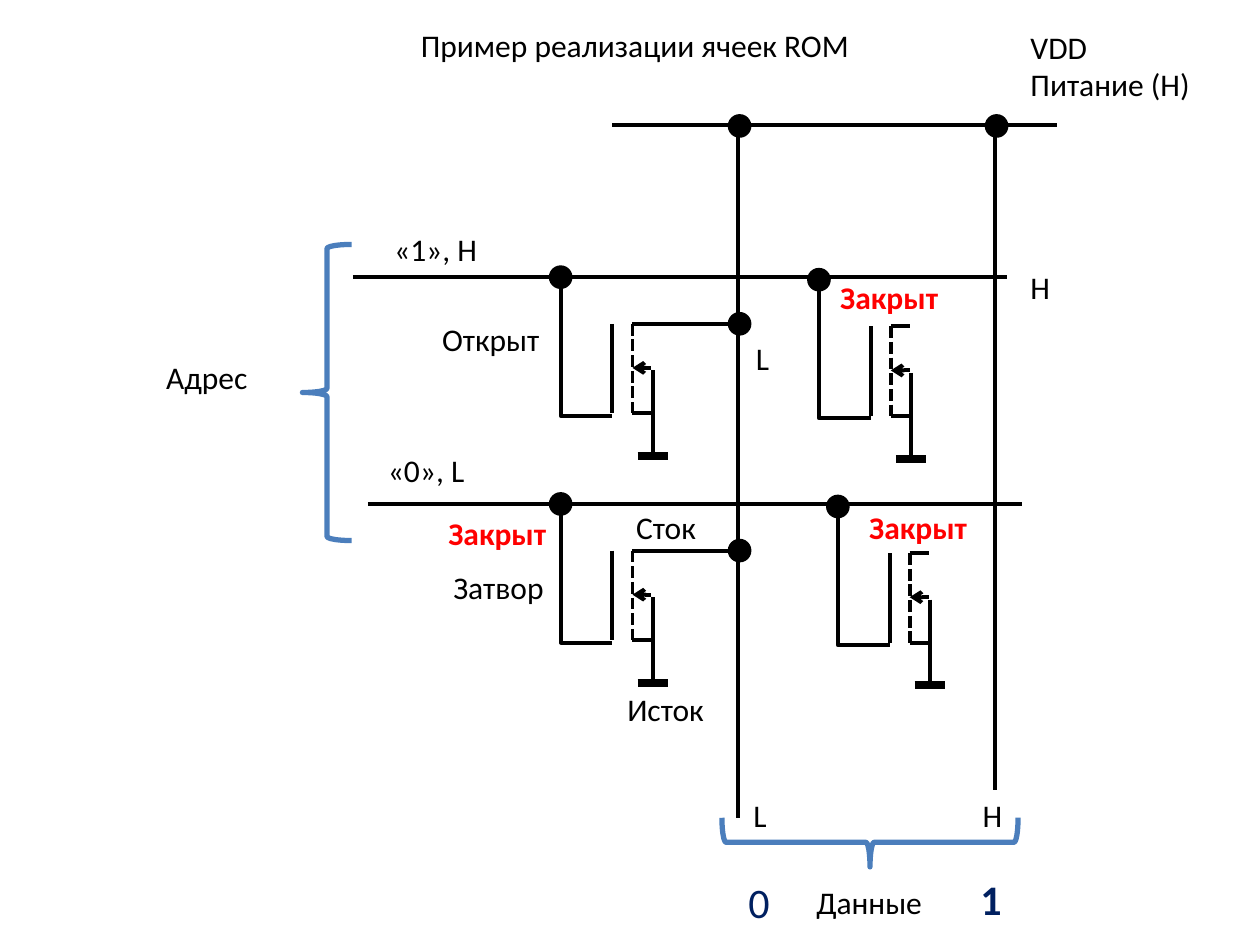
from lxml import etree
from pptx import Presentation
from pptx import util as u
from pptx.dml.color import RGBColor
from pptx.enum import dml, shapes, text
from pptx.oxml.ns import qn

PX = 9144  # EMU per px, 100 px to the inch
FONT = "Calibri"
COLORS = {"ink": "000000", "brace": "4B7EBC", "closed": "FF0000", "digit": "002060"}
DOT = 16
BIT_X = (586, 790)
POWER_Y = 99

# Gate node of each transistor
WIRED_CELLS = [(445, 220), (445, 400)]
LOOSE_CELLS = [(650, 222), (665, 402)]

LABELS = [  # left, top, width, lines
    (808, 17, 148, ["VDD", "Питание (Н)"]),
    (122, 279, 85, ["Адрес"]),
    (638, 696, 105, ["Данные"]),
    (303, 178, 87, ["«1», H"]),
    (298, 353, 82, ["«0», L"]),
    (590, 264, 31, ["L"]),
    (341, 249, 98, ["Открыт"]),
    (808, 208, 36, ["H"]),
    (770, 627, 36, ["H"]),
    (588, 627, 31, ["L"]),
    (350, 446, 93, ["Затвор"]),
    (488, 543, 82, ["Исток"]),
    (495, 398, 68, ["Сток"]),
]
CLOSED_MARKS = [(657, 216), (346, 403), (680, 398)]


def px(*lengths):
    return [u.Emu(n * PX) for n in lengths]


def rgb(name):
    return RGBColor.from_string(COLORS[name])


def line(shs, x1, y1, x2, y2, width=2.25, dashed=False, arrow=False,
         kind=shapes.MSO_CONNECTOR.STRAIGHT):
    c = shs.add_connector(kind, *px(x1, y1, x2, y2))
    c.line.color.rgb = rgb("ink")
    c.line.width = u.Pt(width)
    if dashed:
        c.line.dash_style = dml.MSO_LINE.SQUARE_DOT
    if arrow:
        etree.SubElement(c.line._get_or_add_ln(), qn("a:tailEnd"), type="arrow")
    etree.SubElement(c._element.spPr, qn("a:effectLst"))
    return c


def corner(shs, x1, y1, x2, y2):
    """Wire that runs vertically first, then horizontally."""
    c = line(shs, x1, y1, x2, y2, kind=shapes.MSO_CONNECTOR.ELBOW)
    av = c._element.spPr.find(qn("a:prstGeom")).get_or_add_avLst()
    etree.SubElement(av, qn("a:gd"), name="adj1", fmla="val 0")


def dot(shs, x, y):
    sp = shs.add_shape(shapes.MSO_SHAPE.OVAL, *px(x - DOT // 2, y - DOT // 2, DOT, DOT))
    sp.shadow.inherit = False
    sp.fill.solid()
    sp.fill.fore_color.rgb = rgb("ink")
    sp.line.color.rgb = rgb("ink")
    sp.line.width = u.Pt(2)


def brace(shs, x, y, rotation=0):
    sp = shs.add_shape(shapes.MSO_SHAPE.LEFT_BRACE, *px(x, y, 39, 235))
    sp.rotation = rotation
    sp.shadow.inherit = False
    sp.fill.background()
    sp.line.color.rgb = rgb("brace")
    sp.line.width = u.Pt(3)


def write(sp, lines, color="ink", size=18, bold=False, wrap=False):
    tf = sp.text_frame
    tf.word_wrap = wrap
    tf.auto_size = text.MSO_AUTO_SIZE.SHAPE_TO_FIT_TEXT
    tf.vertical_anchor = text.MSO_ANCHOR.TOP
    for i, words in enumerate(lines):
        p = tf.add_paragraph() if i else tf.paragraphs[0]
        p.alignment = text.PP_ALIGN.LEFT
        r = p.add_run()
        r.text = words
        r.font.name = FONT
        r.font.size = u.Pt(size)
        r.font.bold = bold
        r.font.color.rgb = rgb(color)


def label(shs, x, y, w, lines, **style):
    sp = shs.add_textbox(*px(x, y, w, 40 if len(lines) == 1 else 71))
    write(sp, lines, **style)


def digit(shs, x, y, value, bold):
    sp = shs.add_textbox(*px(x, y, 5, 50))
    sp.text_frame.margin_left = sp.text_frame.margin_right = 0
    write(sp, [value], color="digit", size=24, bold=bold, wrap=True)


def title(s, words):
    sp = s.shapes.title
    sp.left, sp.top, sp.width, sp.height = px(324, 16, 364, 40)
    write(sp, [words])


def transistor(shs, x, y):
    """Transistor with a grounded source, hung from the gate node at x, y."""
    body, stub, top, bottom = x + 57, x + 72, y + 37, y + 108
    line(shs, body, top, body, bottom, dashed=True)
    for end in (top, bottom):
        line(shs, body, end, stub, end)
    line(shs, x + 41, top, x + 41, bottom)
    line(shs, stub, y + 72, body, y + 72, arrow=True)
    line(shs, x + 73, y + 74, x + 73, y + 141)
    line(shs, x + 61, y + 142, x + 85, y + 142, width=4.5)
    corner(shs, x, y, x + 41, y + 110)
    dot(shs, x, y)


def main():
    prs = Presentation()
    prs.slide_width, prs.slide_height = px(1000, 750)
    s = prs.slides.add_slide(prs.slide_layouts[5])
    shs = s.shapes
    title(s, "Пример реализации ячеек ROM")

    for x, y in ((280, 220), (292, 400)):
        line(shs, x, y, x + 519, y)
    line(shs, 486, POWER_Y, 839, POWER_Y)
    line(shs, BIT_X[0], POWER_Y, BIT_X[0], 649)
    line(shs, BIT_X[1], POWER_Y, BIT_X[1], 627)
    for x in BIT_X:
        dot(shs, x + 1, POWER_Y + 1)

    for x, y in WIRED_CELLS + LOOSE_CELLS:
        cell = shs.add_group_shape().shapes
        transistor(cell, x, y)
        if (x, y) in WIRED_CELLS:
            line(cell, x + 72, y + 37, BIT_X[0], y + 37)
            dot(cell, BIT_X[0] + 1, y + 37)

    brace(shs, 240, 194)
    brace(shs, 671, 551, rotation=270)
    for x, y, w, lines in LABELS:
        label(shs, x, y, w, lines)
    for x, y in CLOSED_MARKS:
        label(shs, x, y, 99, ["Закрыт"], color="closed", bold=True)
    digit(shs, 594, 691, "0", bold=False)
    digit(shs, 778, 688, "1", bold=True)
    prs.save("out.pptx")


if __name__ == "__main__":
    main()
